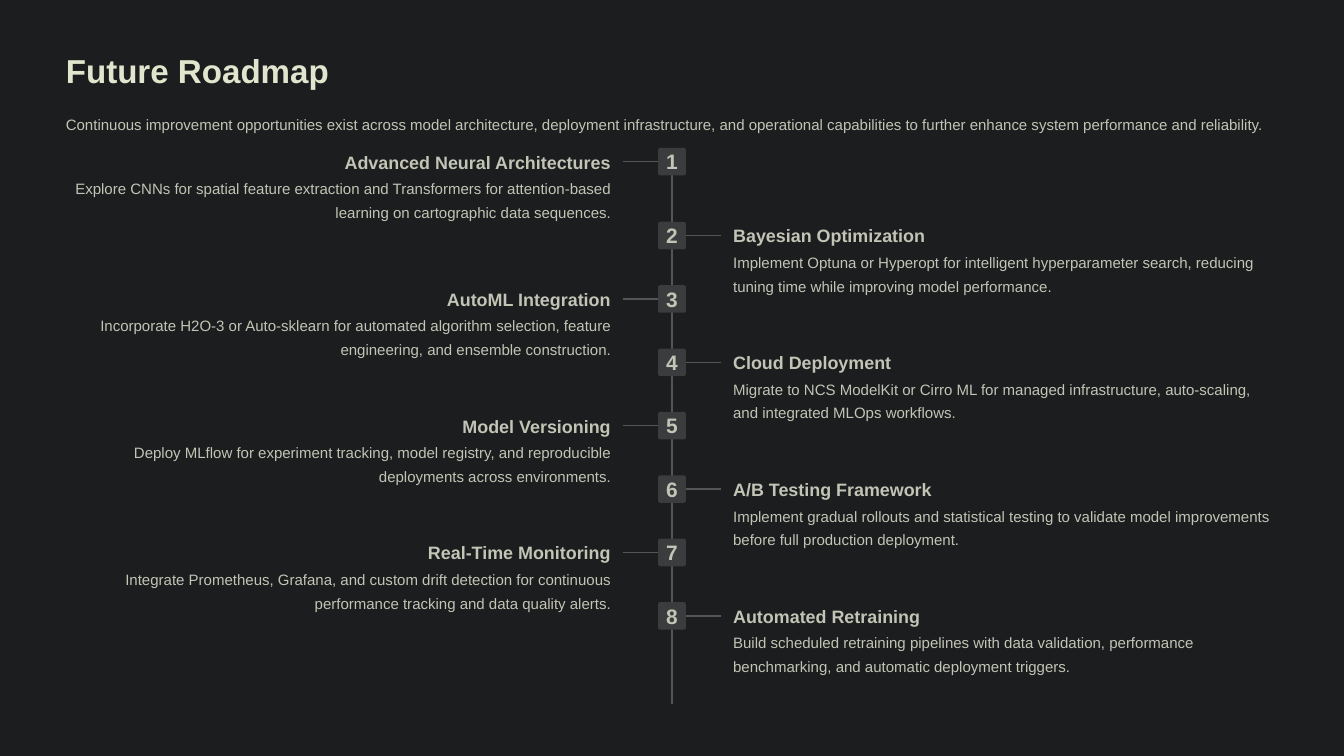
from lxml import etree
from pptx import Presentation
from pptx.dml.color import RGBColor
from pptx.enum import shapes, text
from pptx.oxml.ns import qn
from pptx.util import Inches, Pt

FONT = "Arial"
DARK = RGBColor(0x1C, 0x1D, 0x1F)
CREAM = RGBColor(0xE1, 0xE5, 0xCD)
SAGE = RGBColor(0xC2, 0xC4, 0xB5)
RULE = RGBColor(0x54, 0x55, 0x57)
BADGE = RGBColor(0x3B, 0x3C, 0x3E)

LEFT, CENTER, RIGHT = text.PP_ALIGN.LEFT, text.PP_ALIGN.CENTER, text.PP_ALIGN.RIGHT

MARGIN = 0.98
WIDE = 18.04   # content width
AXIS = 10      # x of the timeline
SIDE = 0.41    # badge size
TICK = 0.55
COLUMN = 8.11  # width of an entry

STEPS = [
    ("Advanced Neural Architectures",
     "Explore CNNs for spatial feature extraction and Transformers for "
     "attention-based learning on cartographic data sequences."),
    ("Bayesian Optimization",
     "Implement Optuna or Hyperopt for intelligent hyperparameter search, "
     "reducing tuning time while improving model performance."),
    ("AutoML Integration",
     "Incorporate H2O-3 or Auto-sklearn for automated algorithm selection, "
     "feature engineering, and ensemble construction."),
    ("Cloud Deployment",
     "Migrate to NCS ModelKit or Cirro ML for managed infrastructure, "
     "auto-scaling, and integrated MLOps workflows."),
    ("Model Versioning",
     "Deploy MLflow for experiment tracking, model registry, and "
     "reproducible deployments across environments."),
    ("A/B Testing Framework",
     "Implement gradual rollouts and statistical testing to validate model "
     "improvements before full production deployment."),
    ("Real-Time Monitoring",
     "Integrate Prometheus, Grafana, and custom drift detection for "
     "continuous performance tracking and data quality alerts."),
    ("Automated Retraining",
     "Build scheduled retraining pipelines with data validation, performance "
     "benchmarking, and automatic deployment triggers."),
]


def write(shape, words, size, line, color=SAGE, bold=False, align=LEFT, inset=0):
    """Fill a shape with one top-anchored paragraph of fixed line height."""
    frame = shape.text_frame
    frame.text = words
    frame.word_wrap = True
    frame.auto_size = text.MSO_AUTO_SIZE.NONE
    frame.vertical_anchor = text.MSO_ANCHOR.TOP
    frame.margin_left = frame.margin_right = frame.margin_bottom = 0
    frame.margin_top = Inches(inset)
    para = frame.paragraphs[0]
    para.alignment = align
    para.line_spacing = Pt(line)
    font = para.runs[0].font
    font.name, font.size, font.bold = FONT, Pt(size), bold
    font.color.rgb = color


def add_text(slide, x, y, w, h, *args, **style):
    box = slide.shapes.add_textbox(Inches(x), Inches(y), Inches(w), Inches(h))
    write(box, *args, **style)


def add_rule(slide, x1, y1, x2, y2):
    rule = slide.shapes.add_connector(
        shapes.MSO_CONNECTOR.STRAIGHT,
        Inches(x1), Inches(y1), Inches(x2), Inches(y2))
    rule.line.color.rgb = RULE
    rule.line.width = Pt(1.5)
    etree.SubElement(rule._element.spPr, qn("a:effectLst"))


def add_header(slide, x, y, w):
    title = slide.shapes.title
    title.left, title.top = Inches(x), Inches(y)
    title.width, title.height = Inches(w), Inches(0.63)
    write(title, "Future Roadmap", 35.5, 44.4, CREAM, bold=True)
    add_text(slide, x, y + 0.91, w, 0.67,
             "Continuous improvement opportunities exist across model "
             "architecture, deployment infrastructure, and operational "
             "capabilities to further enhance system performance and "
             "reliability.", 16.1, 25.3)


def add_badge(slide, x, y, number):
    badge = slide.shapes.add_shape(
        shapes.MSO_SHAPE.ROUNDED_RECTANGLE,
        Inches(x), Inches(y), Inches(SIDE), Inches(SIDE))
    badge.adjustments[0] = 0.07
    badge.shadow.inherit = False
    badge.fill.solid()
    badge.fill.fore_color.rgb = BADGE
    badge.line.fill.background()
    write(badge, str(number), 22.4, 22.4, bold=True, align=CENTER, inset=0.07)


def add_step(slide, y, number, head, body):
    """Odd steps stand left of the axis, even steps right of it."""
    if number % 2:
        align, x, tick = RIGHT, MARGIN, AXIS - 0.73
    else:
        align, x, tick = LEFT, AXIS + 0.91, AXIS + 0.18
    add_rule(slide, tick, y + SIDE / 2, tick + TICK, y + SIDE / 2)
    add_badge(slide, AXIS - SIDE / 2, y, number)
    add_text(slide, x, y + 0.04, COLUMN, 0.34, head, 19.2, 23.7,
             bold=True, align=align)
    add_text(slide, x, y + 0.39, COLUMN, 0.67, body, 16.1, 25.3, align=align)


def add_timeline(slide, top, height):
    add_rule(slide, AXIS, top, AXIS, top + height)
    first, pitch = top + 1.1, 5.66 / 6
    for i, (head, body) in enumerate(STEPS):
        y = first + (i - 1) * pitch if i else top
        add_step(slide, y, i + 1, head, body)


def main():
    deck = Presentation()
    deck.slide_width, deck.slide_height = Inches(20), Inches(11.25)
    slide = deck.slides.add_slide(deck.slide_layouts.get_by_name("Title Only"))
    slide.background.fill.solid()
    slide.background.fill.fore_color.rgb = DARK
    add_header(slide, MARGIN, 0.73, WIDE)
    add_timeline(slide, 2.2, 8.28)
    deck.save("out.pptx")


if __name__ == "__main__":
    main()
